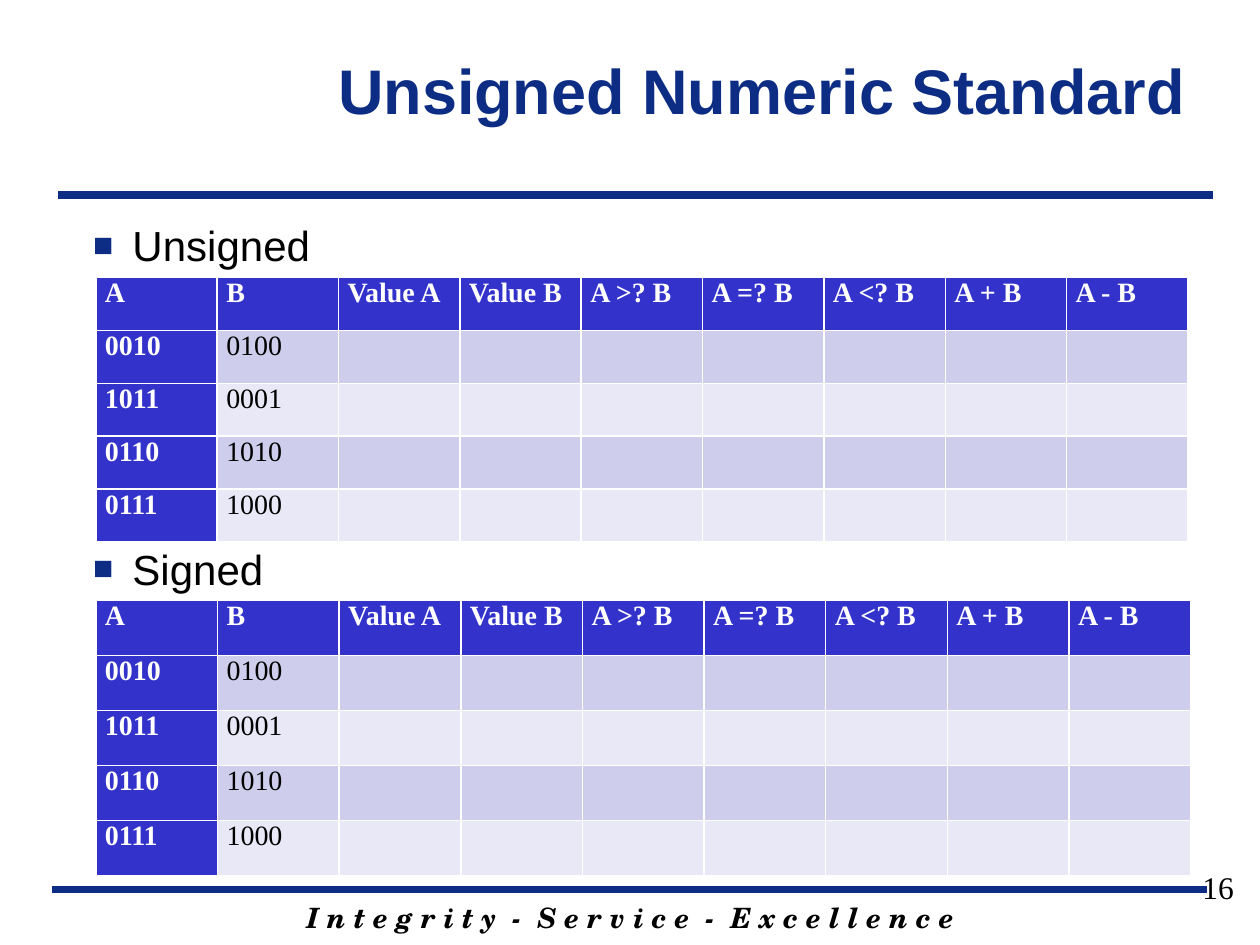
from pptx import Presentation
from pptx.dml.color import RGBColor
from pptx.enum.shapes import MSO_CONNECTOR
from pptx.enum.text import MSO_ANCHOR, MSO_AUTO_SIZE, PP_ALIGN
from pptx.oxml.ns import qn
from pptx.util import Pt
from lxml.etree import SubElement

NAVY, BLUE, BLACK, WHITE = "0C2D83", "3333CC", "000000", "FFFFFF"
BANDS = ["CECEEC", "E8E8F6"]


def color(value):
    return RGBColor.from_string(value)


def style(paragraph, size, name, value, bold=False, italic=False):
    font = paragraph.font
    font.size, font.name = Pt(size), name
    font.bold, font.italic = bold, italic
    font.color.rgb = color(value)


prs = Presentation()
prs.slide_width, prs.slide_height = Pt(720), Pt(540)
slide = prs.slides.add_slide(prs.slide_layouts[1])
shapes = slide.shapes

for left, right, y in [(30, 690, 508.3), (33.2, 693.2, 111.5)]:
    rule = shapes.add_connector(MSO_CONNECTOR.STRAIGHT, Pt(left), Pt(y), Pt(right), Pt(y))
    rule.line.color.rgb = color(NAVY)
    rule.line.width = Pt(4.5)
    SubElement(rule._element.spPr, qn("a:effectLst"))

title = shapes.title
title.left, title.top, title.width, title.height = Pt(150.5), Pt(6), Pt(534), Pt(90)
title.text_frame.text = "Unsigned Numeric Standard"
title.text_frame.vertical_anchor = MSO_ANCHOR.MIDDLE
title.text_frame.auto_size = MSO_AUTO_SIZE.NONE
title.text_frame.paragraphs[0].alignment = PP_ALIGN.RIGHT
style(title.text_frame.paragraphs[0], 36, "Arial", NAVY, bold=True)

sections = slide.placeholders[1]
sections.left, sections.top, sections.width, sections.height = Pt(46), Pt(122), Pt(640), Pt(340)
sections.text_frame.text = "Unsigned\nSigned"
sections.text_frame.auto_size = MSO_AUTO_SIZE.NONE
for heading, gap in zip(sections.text_frame.paragraphs, [0, 156]):
    heading.space_before = Pt(gap)
    style(heading, 24, "Arial", BLACK)
    props = heading._p.get_or_add_pPr()
    props.set("marL", str(Pt(22.5)))
    props.set("indent", str(-Pt(22.5)))
    bullet = [("buClr", {}), ("buSzPct", {"val": "80000"}),
              ("buFont", {"typeface": "Arial"}), ("buChar", {"char": "■"})]
    defaults = props.find(qn("a:defRPr"))
    for tag, attributes in bullet:
        part = SubElement(props, qn("a:" + tag), attributes)
        if tag == "buClr":
            SubElement(part, qn("a:srgbClr"), {"val": NAVY})
        defaults.addprevious(part)

captions = [
    ("I n t e g r i t y  -  S e r v i c e  -  E x c e l l e n c e",
     (102.2, 511.2, 516.2, 26.6), PP_ALIGN.CENTER, (16, "TeX Gyre Schola", BLACK, True, True)),
    ("16", (544.3, 492.5, 167.8, 37.4), PP_ALIGN.RIGHT, (18, "Times New Roman", BLACK)),
]
for text, box, alignment, look in captions:
    caption = shapes.add_textbox(*map(Pt, box)).text_frame
    caption.word_wrap = True
    caption.text = text
    caption.paragraphs[0].alignment = alignment
    style(caption.paragraphs[0], *look)

headers = ["A", "B", "Value A", "Value B", "A >? B", "A =? B", "A <? B", "A + B", "A - B"]
operands = [("0010", "0100"), ("1011", "0001"), ("0110", "1010"), ("0111", "1000")]
rows = [headers] + [[a, b] + [""] * (len(headers) - 2) for a, b in operands]

for top, width, height in [(158.6, 624.2, 151.2), (342.9, 625.7, 157.7)]:
    comparison = shapes.add_table(len(rows), len(headers), Pt(54.8), Pt(top),
                                  Pt(width), Pt(height)).table
    comparison.first_col = True
    for r, values in enumerate(rows):
        for c, value in enumerate(values):
            cell = comparison.cell(r, c)
            is_header = r == 0 or c == 0
            cell.text = value
            cell.margin_left = cell.margin_right = Pt(5.2)
            cell.margin_top = cell.margin_bottom = 0
            cell.fill.solid()
            cell.fill.fore_color.rgb = color(BLUE if is_header else BANDS[(r - 1) % 2])
            style(cell.text_frame.paragraphs[0], 16, "Times New Roman",
                  WHITE if is_header else BLACK, bold=is_header)

prs.save("out.pptx")
